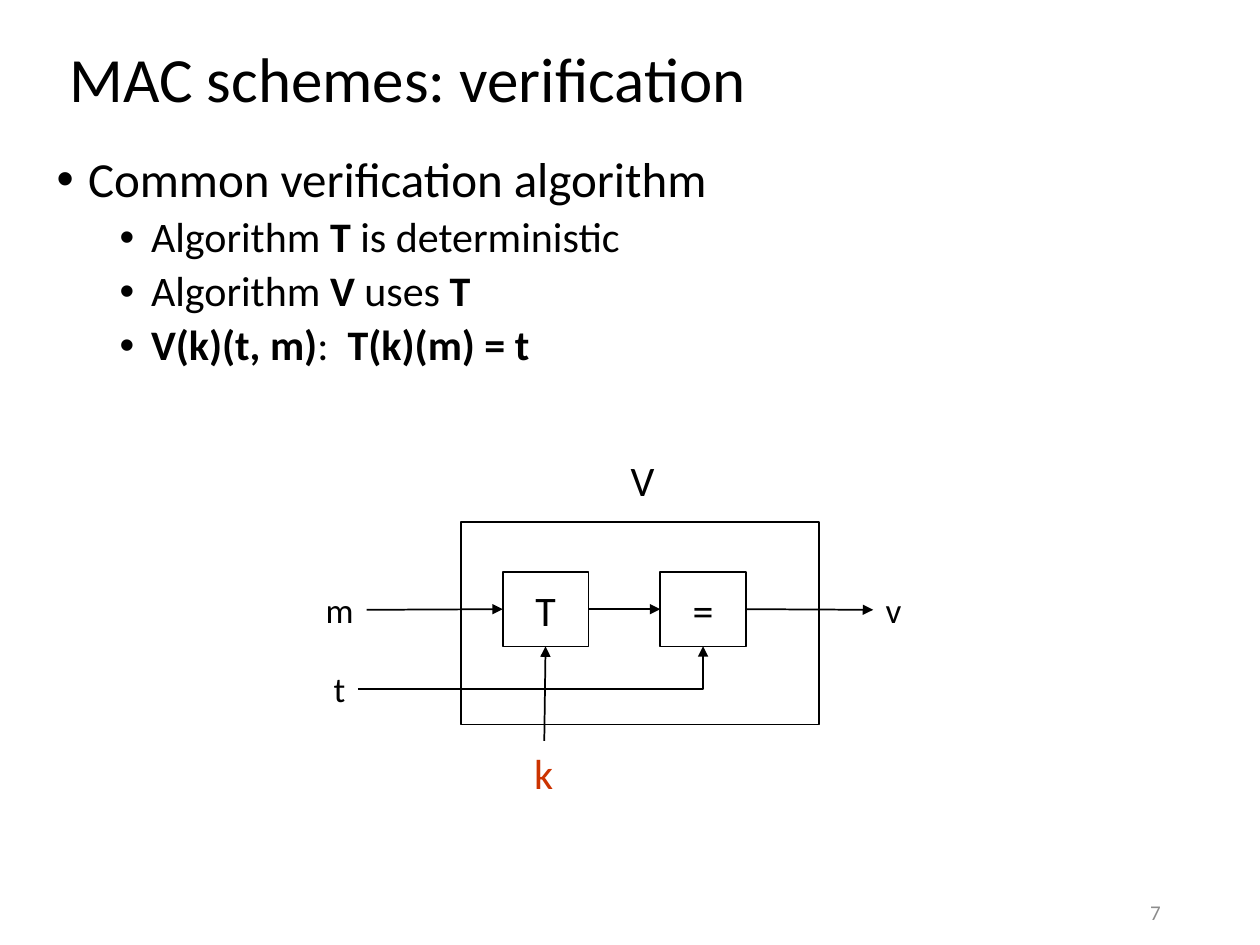
from lxml import etree
from pptx import Presentation, util as u
from pptx.dml.color import RGBColor
from pptx.enum import shapes, text
from pptx.oxml.ns import qn

BLACK = RGBColor(0x00, 0x00, 0x00)
KEY_RED = RGBColor(0xCC, 0x33, 0x00)
GREY = RGBColor(0x8C, 0x8C, 0x8C)

deck = Presentation()
deck.slide_width, deck.slide_height = u.Inches(10), u.Inches(7.5)
CELL = deck.slide_width / 40  # the slide is a grid of 40 columns by 30 rows

slide = deck.slides.add_slide(deck.slide_layouts[5])


def grid(*cells):
    return [u.Emu(round(cell * CELL)) for cell in cells]


def write(paragraph, words, size, color=BLACK, bold=False):
    run = paragraph.add_run()
    run.text = words
    font = {"name": "Calibri", "size": u.Pt(size), "bold": bold}
    for key, value in font.items():
        setattr(run.font, key, value)
    run.font.color.rgb = color


# Title
title = slide.shapes.title
title.left, title.top, title.width, title.height = grid(1.8, 1.16, 36.4, 2.88)
title_format = {"vertical_anchor": text.MSO_ANCHOR.MIDDLE,
                "auto_size": text.MSO_AUTO_SIZE.NONE, "word_wrap": True}
for key, value in title_format.items():
    setattr(title.text_frame, key, value)
heading = title.text_frame.paragraphs[0]
heading.alignment, heading.line_spacing = text.PP_ALIGN.LEFT, 0.9
write(heading, "MAC schemes: verification", 36)

# Bulleted points: level, then pieces of (words, bold)
points = [
    (0, [("Common verification algorithm", False)]),
    (1, [("Algorithm ", False), ("T", True), (" is deterministic", False)]),
    (1, [("Algorithm ", False), ("V", True), (" uses ", False), ("T", True)]),
    (1, [("V(k)(t, m)", True), (":  ", False), ("T(k)(m) = t", True)]),
]
levels = [{"margin": 0.25, "before": 10, "size": 28},
          {"margin": 0.75, "before": 5, "size": 24}]
body = slide.shapes.add_textbox(*grid(1.4, 4.72, 36.6, 8.16)).text_frame
body.word_wrap = True
for index, (level, pieces) in enumerate(points):
    point = body.add_paragraph() if index else body.paragraphs[0]
    style = levels[level]
    point.level, point.line_spacing = level, 0.9
    point.space_before = u.Pt(style["before"])
    properties = point._p.get_or_add_pPr()
    properties.set("marL", str(u.Inches(style["margin"])))
    properties.set("indent", str(u.Inches(-0.25)))
    etree.SubElement(properties, qn("a:buFont")).set("typeface", "Arial")
    etree.SubElement(properties, qn("a:buChar")).set("char", "•")
    for words, bold in pieces:
        write(point, words, style["size"], bold=bold)

# Slide number
number = slide.shapes.add_textbox(*grid(28.24, 28.52, 9, 0.88)).text_frame
number.word_wrap, number.vertical_anchor = True, text.MSO_ANCHOR.MIDDLE
number.paragraphs[0].alignment = text.PP_ALIGN.RIGHT
write(number.paragraphs[0], "7", 12, GREY)

# Boxes: the verifier around the tag and comparison steps
BOX_W, BOX_H, BOX_TOP = 2.72, 2.36, 18.16
TAG_X, EQUAL_X = 15.96, 20.96
boxes = [("", 14.64, 16.56, 11.36, 6.44),
         ("T", TAG_X, BOX_TOP, BOX_W, BOX_H),
         ("=", EQUAL_X, BOX_TOP, BOX_W, BOX_H)]
for symbol, *place in boxes:
    box = slide.shapes.add_shape(shapes.MSO_SHAPE.RECTANGLE, *grid(*place))
    box.shadow.inherit = False
    box.fill.background()
    box.line.color.rgb, box.line.width = BLACK, u.Pt(1)
    if symbol:
        box.text_frame.word_wrap = False
        box.text_frame.vertical_anchor = text.MSO_ANCHOR.MIDDLE
        box.text_frame.paragraphs[0].alignment = text.PP_ALIGN.CENTER
        write(box.text_frame.paragraphs[0], symbol, 24)

# Labels of the verifier, the key, the inputs and the output
labels = [("V", 24, BLACK, 19.04, 14.04, BOX_W, BOX_H),
          ("k", 24, KEY_RED, 16.56, 23.52, 1.4, 2.04),
          ("m", 20, BLACK, 9.92, 18.48, 1.72, 1.76),
          ("t", 20, BLACK, 10.2, 21, 1.16, 1.76),
          ("v", 20, BLACK, 27.72, 18.48, 1.28, 1.76)]
for symbol, size, color, *place in labels:
    label = slide.shapes.add_textbox(*grid(*place)).text_frame
    label.word_wrap = False
    label.vertical_anchor = text.MSO_ANCHOR.MIDDLE if symbol == "V" else text.MSO_ANCHOR.TOP
    label.paragraphs[0].alignment = text.PP_ALIGN.CENTER
    write(label.paragraphs[0], symbol, size, color)

# Arrows: bent or not, start, end
MID_Y, BOTTOM = BOX_TOP + BOX_H / 2, BOX_TOP + BOX_H
arrows = [
    (False, 11.64, 19.36, TAG_X, MID_Y),
    (False, TAG_X + BOX_W, MID_Y, EQUAL_X, MID_Y),
    (False, EQUAL_X + BOX_W, MID_Y, 27.72, 19.36),
    (False, 17.28, 23.52, TAG_X + BOX_W / 2, BOTTOM),
    (True, 11.36, 21.88, EQUAL_X + BOX_W / 2, BOTTOM),
]
for bent, *ends in arrows:
    arrow = slide.shapes.add_connector(shapes.MSO_CONNECTOR.STRAIGHT, *grid(*ends))
    arrow.line.color.rgb, arrow.line.width = BLACK, u.Pt(1)
    drawing = arrow._element.spPr
    if bent:
        drawing.find(qn("a:prstGeom")).set("prst", "bentConnector2")
    etree.SubElement(drawing.find(qn("a:ln")), qn("a:tailEnd")).set("type", "triangle")
    etree.SubElement(drawing, qn("a:effectLst"))

deck.save("out.pptx")
